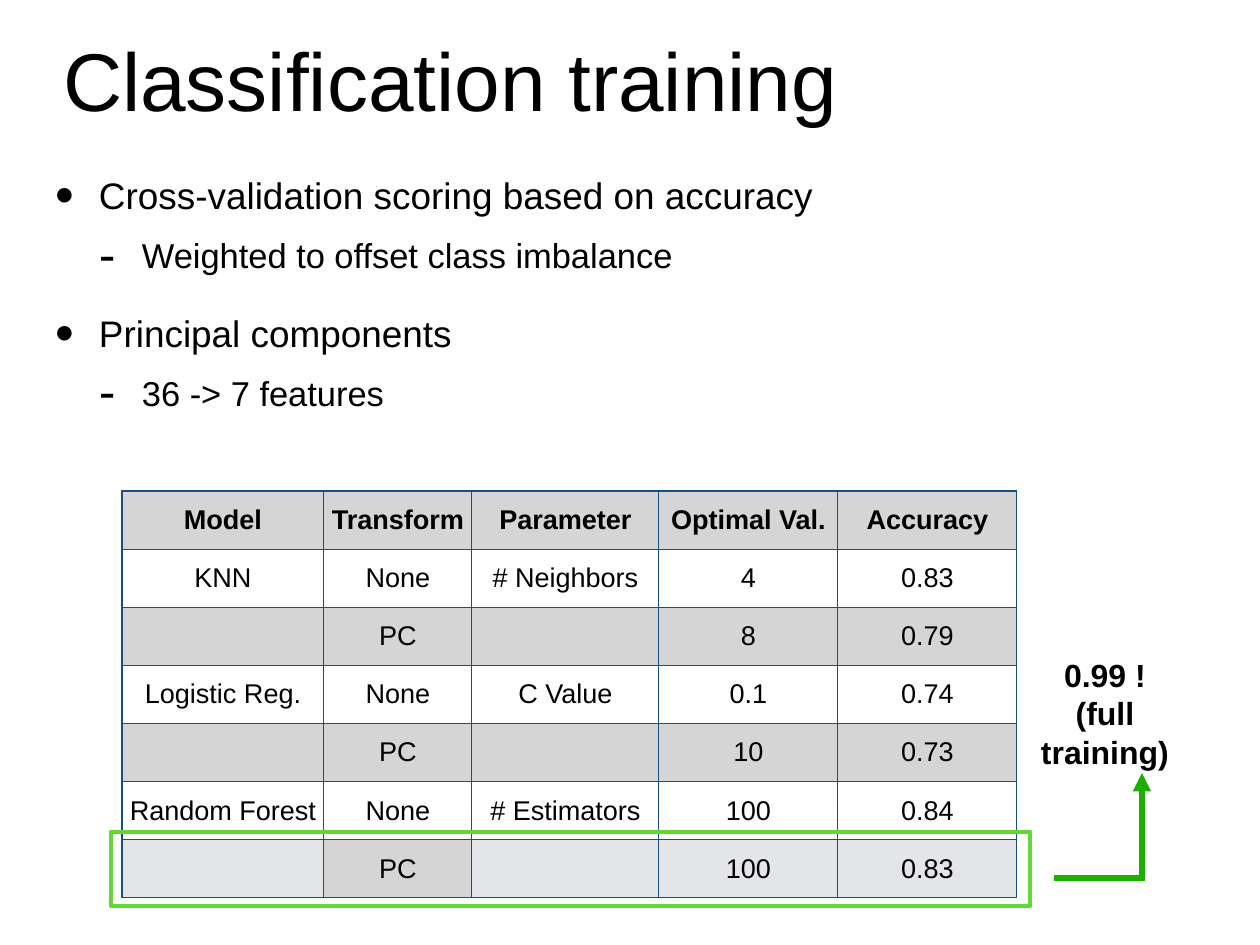
import dataclasses

import lxml.etree
import pptx
import pptx.dml.color
import pptx.enum.shapes
import pptx.enum.text
import pptx.oxml.ns
import pptx.util

PX = 10320  # EMU in one px
INSET = 5
ANCHOR = pptx.enum.text.MSO_ANCHOR
ALIGN = pptx.enum.text.PP_ALIGN


@dataclasses.dataclass(frozen=True)
class Theme:
    font: str = "Arial"
    ink: str = "000000"
    band: str = "D6D5D5"
    plain: str = "FFFFFF"
    chosen: str = "E3E5E8"
    grid: str = "164F86"
    highlight: str = "61D836"
    arrow: str = "1EB001"
    title_size: float = 66.6
    point_size: int = 30
    subpoint_size: int = 28
    cell_size: int = 22
    callout_size: int = 26


THEME = Theme()

# Level, space before in points, wording
POINTS = [
    (0, 42, "Cross-validation scoring based on accuracy"),
    (1, 14, "Weighted to offset class imbalance"),
    (0, 28, "Principal components"),
    (1, 14, "36 -> 7 features"),
]
COLUMN_WIDTHS = [202, 148, 187, 179, 179]
RESULTS = [
    ["Model", "Transform", "Parameter", "Optimal Val.", "Accuracy"],
    ["KNN", "None", "# Neighbors", "4", "0.83"],
    ["", "PC", "", "8", "0.79"],
    ["Logistic Reg.", "None", "C Value", "0.1", "0.74"],
    ["", "PC", "", "10", "0.73"],
    ["Random Forest", "None", "# Estimators", "100", "0.84"],
    ["", "PC", "", "100", "0.83"],
]


def px(*lengths):
    return [pptx.util.Emu(round(length * PX)) for length in lengths]


def color(code):
    return pptx.dml.color.RGBColor.from_string(code)


def add_xml(parent, tag, **attributes):
    return lxml.etree.SubElement(parent, pptx.oxml.ns.qn(tag), attributes)


def write(paragraph, wording, size, bold=False, align=ALIGN.LEFT):
    paragraph.alignment = align
    run = paragraph.add_run()
    run.text = wording
    run.font.name = THEME.font
    run.font.size = pptx.util.Pt(size)
    run.font.bold = bold
    run.font.color.rgb = color(THEME.ink)


def prepare_frame(frame, anchor):
    frame.word_wrap = True
    frame.auto_size = pptx.enum.text.MSO_AUTO_SIZE.NONE
    frame.vertical_anchor = anchor
    frame.margin_left, frame.margin_top, frame.margin_right, frame.margin_bottom = px(*[INSET] * 4)


def place_title(slide, left, top, width, height):
    title = slide.shapes.title
    title.left, title.top, title.width, title.height = px(left, top, width, height)
    prepare_frame(title.text_frame, ANCHOR.BOTTOM)
    write(title.text_frame.paragraphs[0], "Classification training", THEME.title_size)


def add_points(slide, left, top, width, height):
    frame = slide.shapes.add_textbox(*px(left, top, width, height)).text_frame
    prepare_frame(frame, ANCHOR.TOP)
    indent = px(43)[0]
    for number, (level, space, wording) in enumerate(POINTS):
        point = frame.add_paragraph() if number else frame.paragraphs[0]
        point.level = level
        point.space_before = pptx.util.Pt(space)
        write(point, wording, THEME.subpoint_size if level else THEME.point_size)
        # Hanging bullet
        properties = point._p.get_or_add_pPr()
        properties.set("marL", str(indent * (level + 1)))
        properties.set("indent", str(-indent))
        add_xml(properties, "a:buSzPct", val="145000")
        add_xml(properties, "a:buFont", typeface=THEME.font)
        add_xml(properties, "a:buChar", char="-" if level else "•")


def add_cell_borders(cell):
    properties = cell._tc.get_or_add_tcPr()
    for side in ("a:lnL", "a:lnR", "a:lnT", "a:lnB"):
        border = add_xml(properties, side, w=str(pptx.util.Pt(1)))
        add_xml(add_xml(border, "a:solidFill"), "a:srgbClr", val=THEME.grid)


def cell_fill(row, column):
    if row == len(RESULTS) - 1 and column != 1:
        return THEME.chosen
    return THEME.plain if row % 2 else THEME.band


def add_results(slide, left, top, width, height):
    table = slide.shapes.add_table(
        len(RESULTS), len(COLUMN_WIDTHS), *px(left, top, width, height)
    ).table
    table.first_row = table.horz_banding = False
    for column, share in zip(table.columns, COLUMN_WIDTHS):
        column.width = px(width * share / sum(COLUMN_WIDTHS))[0]
    for r, values in enumerate(RESULTS):
        table.rows[r].height = px(height / len(RESULTS))[0]
        for c, value in enumerate(values):
            cell = table.cell(r, c)
            add_cell_borders(cell)
            cell.fill.solid()
            cell.fill.fore_color.rgb = color(cell_fill(r, c))
            cell.vertical_anchor = ANCHOR.MIDDLE
            cell.margin_left, cell.margin_top, cell.margin_right, cell.margin_bottom = px(*[INSET] * 4)
            if value:
                write(cell.text_frame.paragraphs[0], value, THEME.cell_size, r == 0, ALIGN.CENTER)


def add_highlight(slide, left, top, width, height):
    frame = slide.shapes.add_shape(
        pptx.enum.shapes.MSO_SHAPE.RECTANGLE, *px(left, top, width, height)
    )
    frame.shadow.inherit = False
    frame.fill.background()
    frame.line.color.rgb = color(THEME.highlight)
    frame.line.width = pptx.util.Pt(4)


def add_arrow_part(slide, start, end, pointed):
    part = slide.shapes.add_connector(
        pptx.enum.shapes.MSO_CONNECTOR.STRAIGHT, *px(*start, *end)
    )
    part.line.color.rgb = color(THEME.arrow)
    part.line.width = pptx.util.Pt(5)
    if pointed:
        add_xml(part.line._get_or_add_ln(), "a:tailEnd", type="triangle")
    add_xml(part._element.spPr, "a:effectLst")


def add_callout(slide, left, top, width, height):
    # Wording above the arrow
    wording_height = 120
    frame = slide.shapes.add_textbox(*px(left, top, width, wording_height)).text_frame
    prepare_frame(frame, ANCHOR.MIDDLE)
    write(frame.paragraphs[0], "0.99 !", THEME.callout_size, True, ALIGN.CENTER)
    write(frame.add_paragraph(), "(full training)", THEME.callout_size, True, ALIGN.CENTER)
    # Arrow from the highlighted row up to the wording
    corner_x, corner_y = left + 107, top + height
    add_arrow_part(slide, (left + 19, corner_y), (corner_x + 3, corner_y), False)
    add_arrow_part(slide, (corner_x, corner_y + 3), (corner_x, top + wording_height), True)


def main():
    deck = pptx.Presentation()
    deck.slide_width, deck.slide_height = px(1260, 945)
    slide = deck.slides.add_slide(deck.slide_layouts[5])
    place_title(slide, 58, 25, 1100, 108)
    add_points(slide, 51, 168, 921, 276)
    add_results(slide, 122, 491, 895, 407)
    add_highlight(slide, 111, 832, 919, 74)
    add_callout(slide, 1035, 653, 140, 225)
    deck.save("out.pptx")


if __name__ == "__main__":
    main()
